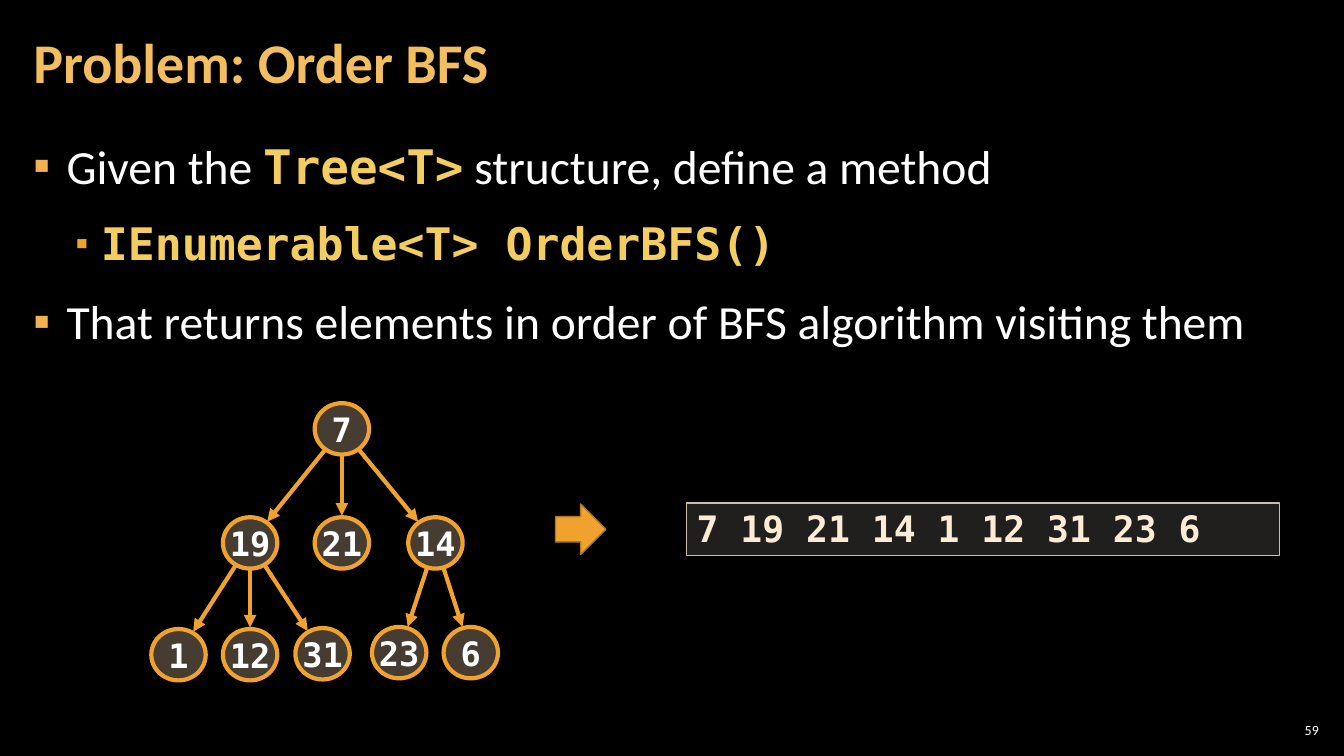
import math
from collections import namedtuple
from lxml import etree
from pptx import Presentation
from pptx import util as u
from pptx.dml import color
from pptx.enum import shapes, text
from pptx.oxml import ns

Box = namedtuple("Box", "left top width height")
SLIDE = Box(0, 0, u.Inches(13.33), u.Inches(7.5))
SANS, MONO = "Calibri", "DejaVu Sans Mono"
ORANGE, WHITE, CODE = "F0A22E", "FFFFFF", "F3CD60"
MIDDLE = text.MSO_ANCHOR.MIDDLE
CENTER, RIGHT = text.PP_ALIGN.CENTER, text.PP_ALIGN.RIGHT
KIND = shapes.MSO_SHAPE
NODE_WIDTH, NODE_HEIGHT = 4.05, 6.8

NODES = {
    "7": (55.9, 0),
    "19": (24.5, 50.5), "21": (55.9, 50.5), "14": (87.9, 50.5),
    "1": (0, 100), "12": (24.5, 100), "31": (49.3, 99.6),
    "23": (75.5, 99.1), "6": (100, 99.1),
}
CHILDREN = {"7": ["19", "21", "14"], "19": ["1", "12", "31"], "14": ["23", "6"]}


def rgb(value):
    return color.RGBColor.from_string(value)


def share(left, top, width, height):
    return Box(*(round(part * whole / 100) for part, whole in
                 zip((left, top, width, height), SLIDE[2:] * 2)))


def apply(target, values):
    for name, value in values.items():
        setattr(target, name, value)


def add_element(parent, tag, **attributes):
    element = etree.SubElement(parent, ns.qn(tag))
    for name, value in attributes.items():
        element.set(name, value)
    return element


def add_span(para, words, size, face, tone, bold=False):
    span = para.add_run()
    span.text = words
    apply(span.font, {"size": u.Pt(size), "name": face, "bold": bold})
    span.font.color.rgb = rgb(tone)


def add_text_box(page, box, side, **frame_format):
    frame = page.shapes.add_textbox(*box).text_frame
    apply(frame, {"word_wrap": True,
                  "margin_left": u.Inches(side), "margin_right": u.Inches(side),
                  "margin_top": u.Inches(0.04), "margin_bottom": u.Inches(0.04)})
    apply(frame, frame_format)
    return frame


def add_solid(parent, kind, box, fill, line, weight, opacity=100):
    shape = parent.add_shape(kind, *box)
    shape.shadow.inherit = False
    shape.fill.solid()
    shape.fill.fore_color.rgb = rgb(fill)
    if opacity < 100:
        tone = shape.fill._xPr.find(".//" + ns.qn("a:srgbClr"))
        add_element(tone, "a:alpha", val=str(opacity * 1000))
    shape.line.color.rgb = rgb(line)
    shape.line.width = u.Pt(weight)
    return shape


def add_bullet(para, indent, hanging, tone, size):
    properties = para._p.get_or_add_pPr()
    properties.set("marL", str(u.Inches(indent)))
    properties.set("indent", str(-u.Inches(hanging)))
    holder = add_element(properties, "a:buClr")
    add_element(holder, "a:srgbClr", val=tone)
    add_element(properties, "a:buSzPct", val=str(size * 1000))
    add_element(properties, "a:buFont", typeface=SANS)
    add_element(properties, "a:buChar", char="▪")


def add_title(page, box):
    para = add_text_box(page, box, 0.12, vertical_anchor=MIDDLE).paragraphs[0]
    para.line_spacing = 0.9
    add_span(para, "Problem: Order BFS", 40, SANS, "F3BE60", True)


def add_body(page, box):
    top_level, second_level = (0.33, 0.33, "F2B254", 100), (0.67, 0.25, ORANGE, 80)
    items = [
        (top_level, [("Given the ", 34, SANS, WHITE),
                     ("Tree<T>", 34, MONO, CODE, True),
                     (" structure, define a method", 34, SANS, WHITE)]),
        (second_level, [("IEnumerable<T> OrderBFS()", 32, MONO, CODE, True)]),
        (top_level, [("That returns elements in order of BFS algorithm visiting them",
                      34, SANS, WHITE)]),
    ]
    frame = add_text_box(page, box, 0.12)
    for index, (bullet, spans) in enumerate(items):
        para = frame.add_paragraph() if index else frame.paragraphs[0]
        add_bullet(para, *bullet)
        apply(para, {"line_spacing": 1.1, "space_after": u.Pt(6),
                     "space_before": u.Pt(6 if index else 0)})
        for span in spans:
            add_span(para, *span)


def add_node(group, label, center, width, height):
    box = (round(center[0] - width / 2), round(center[1] - height / 2), width, height)
    node = add_solid(group.shapes, KIND.OVAL, box, "ECC8A4", ORANGE, 3, 30)
    apply(node.text_frame, {"word_wrap": False, "vertical_anchor": MIDDLE})
    para = node.text_frame.paragraphs[0]
    para.alignment = CENTER
    add_span(para, label, 24, MONO, WHITE, True)


def add_edge(group, start, end, radius):
    gap = radius / math.dist(start, end)
    begin = [round(a + (b - a) * gap) for a, b in zip(start, end)]
    finish = [round(b - (b - a) * gap) for a, b in zip(start, end)]
    edge = group.shapes.add_connector(shapes.MSO_CONNECTOR.STRAIGHT, *begin, *finish)
    edge.line.color.rgb = rgb(ORANGE)
    edge.line.width = u.Pt(3)
    add_element(edge.line._get_or_add_ln(), "a:tailEnd", type="triangle")
    add_element(edge._element.spPr, "a:effectLst")


def add_tree(page, box):
    group = page.shapes.add_group_shape()
    size = share(0, 0, NODE_WIDTH, NODE_HEIGHT)
    centers = {label: (box.left + box.width * x / 100, box.top + box.height * y / 100)
               for label, (x, y) in NODES.items()}
    for label, center in centers.items():
        add_node(group, label, center, size.width, size.height)
    for parent, children in CHILDREN.items():
        for child in children:
            add_edge(group, centers[parent], centers[child], size.width / 2)


def add_result(page, box):
    shape = add_solid(page.shapes, KIND.RECTANGLE, box, "D9D5C7", "C7BFAC", 1, 15)
    apply(shape.text_frame, {"word_wrap": True, "vertical_anchor": text.MSO_ANCHOR.TOP,
                             "auto_size": text.MSO_AUTO_SIZE.SHAPE_TO_FIT_TEXT})
    para = shape.text_frame.paragraphs[0]
    apply(para, {"alignment": text.PP_ALIGN.LEFT, "line_spacing": u.Pt(30)})
    add_span(para, "7 19 21 14 1 12 31 23 6", 26, MONO, "FCECD5", True)


def add_page_number(page, box):
    para = add_text_box(page, box, 0.04, vertical_anchor=MIDDLE).paragraphs[0]
    para.alignment = RIGHT
    add_span(para, "59", 10, SANS, WHITE)


def build_problem_slide(deck):
    page = deck.slides.add_slide(deck.slide_layouts[6])
    page.background.fill.solid()
    page.background.fill.fore_color.rgb = rgb("000000")
    add_page_number(page, share(94.9, 95.2, 3.53, 2.8))
    add_body(page, share(1.58, 16.8, 96.85, 81.2))
    add_title(page, share(1.58, 0.53, 78.54, 16.13))
    add_tree(page, share(13.28, 56.73, 21.75, 29.87))
    add_solid(page.shapes, KIND.RIGHT_ARROW, share(41.33, 66.67, 3.75, 6.67),
              ORANGE, "B27822", 1)
    add_result(page, share(51.09, 66.53, 44.11, 6.93))


def main():
    deck = Presentation()
    apply(deck, {"slide_width": SLIDE.width, "slide_height": SLIDE.height})
    build_problem_slide(deck)
    deck.save("out.pptx")


if __name__ == "__main__":
    main()
